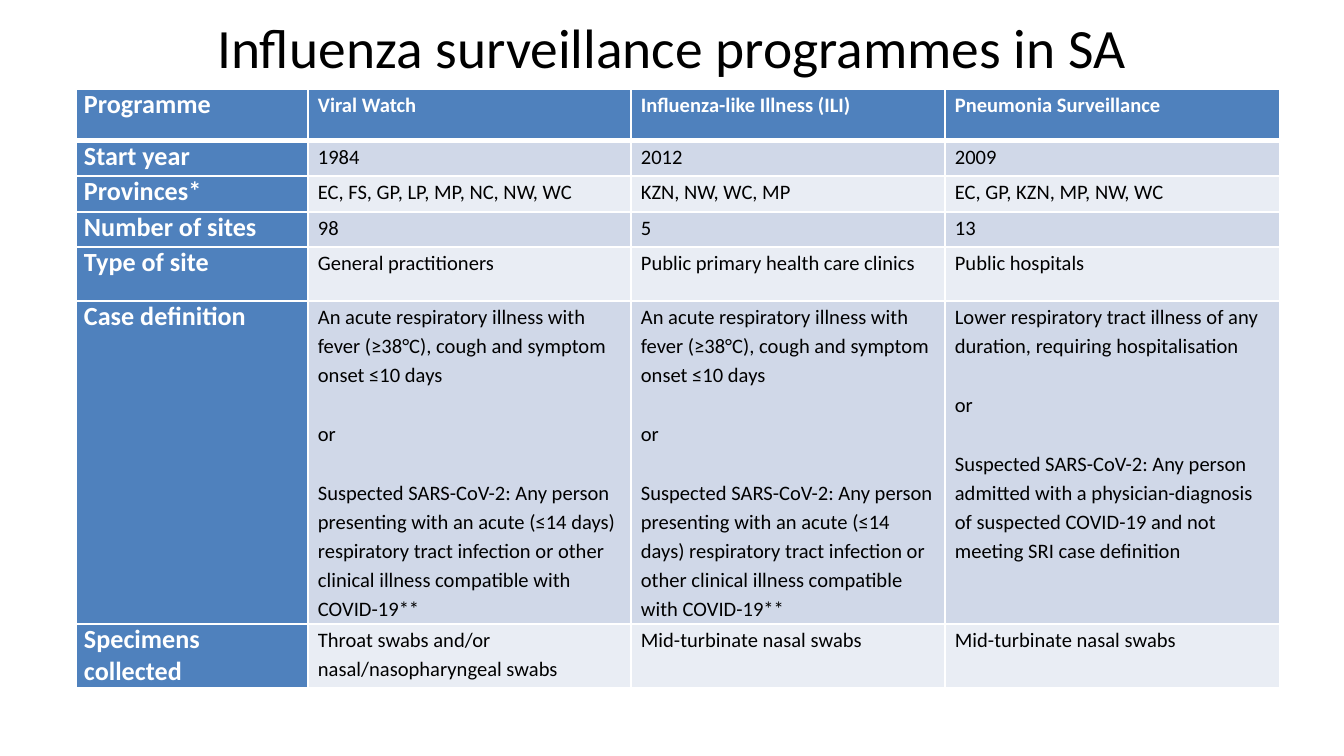
from dataclasses import dataclass

from lxml import etree
from pptx import Presentation
from pptx.dml.color import RGBColor
from pptx.enum.text import MSO_ANCHOR, MSO_AUTO_SIZE, PP_ALIGN
from pptx.oxml.ns import qn
from pptx.util import Pt

CENTER, LEFT = PP_ALIGN.CENTER, PP_ALIGN.LEFT
MIDDLE, TOP = MSO_ANCHOR.MIDDLE, MSO_ANCHOR.TOP
NO_AUTOFIT = MSO_AUTO_SIZE.NONE

SLIDE_WIDTH, SLIDE_HEIGHT = 1344, 756
EMU_PER_PX = 9144000 / SLIDE_WIDTH


@dataclass(frozen=True)
class Theme:
    font: str = "Calibri"
    white: str = "FFFFFF"
    text: str = "000000"
    header: str = "4F81BD"
    bands: tuple = ("E9EDF4", "D0D8E8")
    title_size: float = 29.7
    label_size: int = 14
    body_size: int = 11
    line_spacing: float = 1.15
    space_after: int = 16
    border: int = 1
    header_border: int = 3


THEME = Theme()

TITLE = "Influenza surveillance programmes in SA"
COLUMN_WIDTHS = [232, 323, 314, 335]
ROW_HEIGHTS = [52, 35, 36, 35, 54, 323, 64]

OUTPATIENT_CASE = [
    "An acute respiratory illness with fever (≥38°C), cough and symptom onset ≤10 days",
    "or",
    "Suspected SARS-CoV-2: Any person presenting with an acute (≤14 days) respiratory "
    "tract infection or other clinical illness compatible with COVID-19**",
]
HOSPITAL_CASE = [
    "Lower respiratory tract illness of any duration, requiring hospitalisation",
    "or",
    "Suspected SARS-CoV-2: Any person admitted with a physician-diagnosis of suspected "
    "COVID-19 and not meeting SRI case definition",
]

# Each cell is a list of paragraphs
ROWS = [
    [["Programme"], ["Viral Watch"], ["Influenza-like Illness (ILI)"], ["Pneumonia Surveillance"]],
    [["Start year"], ["1984"], ["2012"], ["2009"]],
    [["Provinces*"], ["EC, FS, GP, LP, MP, NC, NW, WC"], ["KZN, NW, WC, MP"],
     ["EC, GP, KZN, MP, NW, WC"]],
    [["Number of sites"], ["98"], ["5"], ["13"]],
    [["Type of site"], ["General practitioners"], ["Public primary health care clinics"],
     ["Public hospitals"]],
    [["Case definition"], OUTPATIENT_CASE, OUTPATIENT_CASE, HOSPITAL_CASE],
    [["Specimens collected"], ["Throat swabs and/or nasal/nasopharyngeal swabs"],
     ["Mid-turbinate nasal swabs"], ["Mid-turbinate nasal swabs"]],
]


def px(length):
    return round(length * EMU_PER_PX)


def color(value):
    return RGBColor.from_string(value)


def write_text(text_frame, paragraphs, *, size, fill=THEME.text, bold=False,
               align=LEFT, line_spacing=1.0, space_after=0):
    text_frame.word_wrap = True
    for index, text in enumerate(paragraphs):
        paragraph = text_frame.paragraphs[0] if index == 0 else text_frame.add_paragraph()
        paragraph.alignment = align
        paragraph.line_spacing = line_spacing
        paragraph.space_before = Pt(0)
        paragraph.space_after = Pt(space_after)
        run = paragraph.add_run()
        run.text = text
        run.font.name = THEME.font
        run.font.size = Pt(size)
        run.font.bold = bold
        run.font.color.rgb = color(fill)


def set_borders(cell, **widths):
    properties = cell._tc.get_or_add_tcPr()
    for side in "LRTB":
        width = widths.get(side, THEME.border)
        line = etree.SubElement(properties, qn(f"a:ln{side}"), w=str(Pt(width)))
        solid = etree.SubElement(line, qn("a:solidFill"))
        etree.SubElement(solid, qn("a:srgbClr"), val=THEME.white)


def add_title(slide):
    title = slide.shapes.title
    title.left, title.top, title.width, title.height = px(0), px(3), px(1344), px(86)
    title.fill.solid()
    title.fill.fore_color.rgb = color(THEME.white)
    text_frame = title.text_frame
    text_frame.auto_size = NO_AUTOFIT
    text_frame.vertical_anchor = MIDDLE
    write_text(text_frame, [TITLE], size=THEME.title_size, align=CENTER)


def format_cell(cell, paragraphs, row_index, column_index):
    is_header, is_label = row_index == 0, column_index == 0
    is_heading = is_header or is_label

    # Borders come before the fill in the cell properties
    if is_header:
        set_borders(cell, B=THEME.header_border)
    elif row_index == 1:
        set_borders(cell, T=THEME.header_border)
    else:
        set_borders(cell)
    cell.fill.solid()
    cell.fill.fore_color.rgb = color(THEME.header if is_heading else THEME.bands[row_index % 2])

    cell.margin_left = cell.margin_right = px(8 if is_label else 10)
    cell.margin_top = cell.margin_bottom = 0
    cell.vertical_anchor = TOP
    write_text(
        cell.text_frame, paragraphs,
        size=THEME.label_size if is_label else THEME.body_size,
        fill=THEME.white if is_heading else THEME.text,
        bold=is_heading,
        line_spacing=1.0 if is_label else THEME.line_spacing,
        space_after=THEME.space_after,
    )


def add_programme_table(slide):
    frame = slide.shapes.add_table(
        len(ROWS), len(COLUMN_WIDTHS), px(76), px(89),
        px(sum(COLUMN_WIDTHS)), px(sum(ROW_HEIGHTS)))
    table = frame.table
    for column, width in zip(table.columns, COLUMN_WIDTHS):
        column.width = px(width)
    for row, height in zip(table.rows, ROW_HEIGHTS):
        row.height = px(height)
    for row_index, row in enumerate(ROWS):
        for column_index, paragraphs in enumerate(row):
            cell = table.cell(row_index, column_index)
            format_cell(cell, paragraphs, row_index, column_index)


def main():
    presentation = Presentation()
    presentation.slide_width = px(SLIDE_WIDTH)
    presentation.slide_height = px(SLIDE_HEIGHT)
    title_only = presentation.slide_layouts[5]
    slide = presentation.slides.add_slide(title_only)
    add_title(slide)
    add_programme_table(slide)
    presentation.save("out.pptx")


if __name__ == "__main__":
    main()
